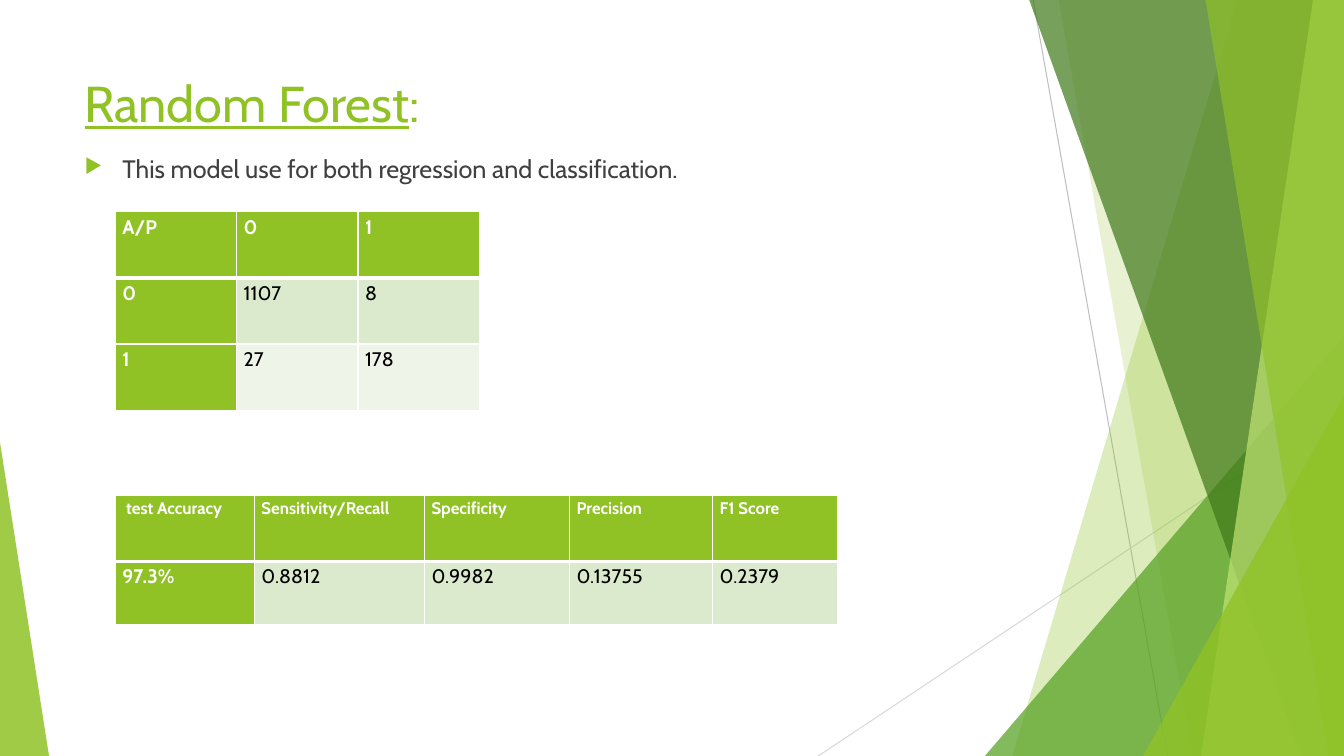
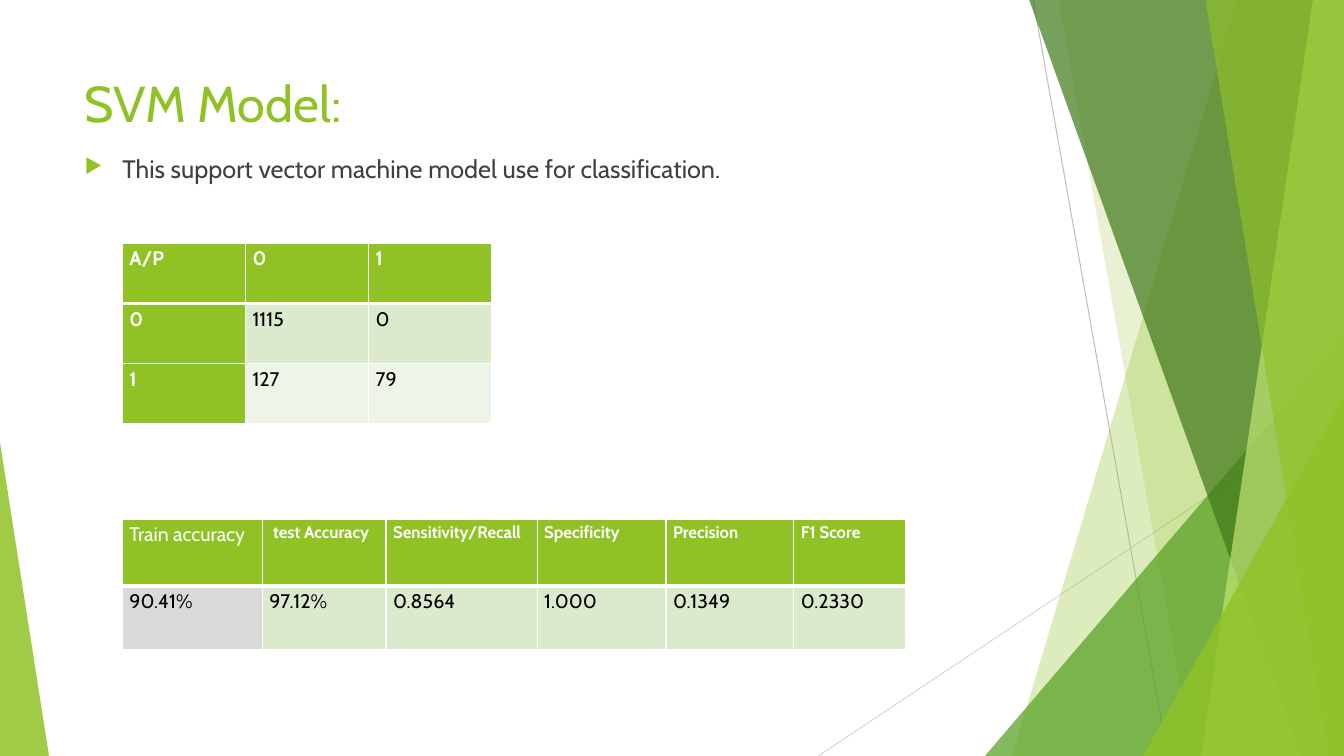
from dataclasses import dataclass

from lxml.etree import SubElement
from pptx import Presentation
from pptx.dml.color import RGBColor
from pptx.enum.shapes import MSO_CONNECTOR as Line, MSO_SHAPE as Shape
from pptx.oxml.ns import qn
from pptx.util import Pt


@dataclass(frozen=True)
class Theme:
    font: str = "Cabin"
    green: str = "90C226"
    leaf: str = "54A021"
    moss: str = "3F7819"
    lime: str = "C0E474"
    ink: str = "404040"
    black: str = "000000"
    white: str = "FFFFFF"
    grey: str = "D9D9D9"
    rule: str = "BFBFBF"
    bands: tuple = ("DBE9CD", "EEF4E8")
    title: int = 36
    body: int = 18
    cell: int = 14
    label: int = 12


T = Theme()
WIDE, HIGH = 960, 540

# Right-hand decor, back to front.
# Panel: top x, bottom x, colour, opacity. Wedge: left, top, colour, opacity.
DECOR = [
    ("panel", 884, 723, T.green, 30),
    ("panel", 756, 852, T.green, 20),
    ("wedge", 703.5, 240, T.leaf, 72),
    ("panel", 735, 929.5, T.moss, 70),
    ("panel", 938, 858, T.lime, 70),
    ("panel", 861, 949, T.green, 65),
    ("wedge", 816.5, 283, T.green, 80),
]


def rgb(code):
    return RGBColor.from_string(code)


def paint(shape, color, alpha):
    """Give a shape a flat, partly clear fill without outline or shadow."""
    shape.shadow.inherit = False
    shape.line.fill.background()
    shape.fill.solid()
    shape.fill.fore_color.rgb = rgb(color)
    tint = next(shape.element.spPr.iter(qn("a:srgbClr")))
    SubElement(tint, qn("a:alpha"), val=str(alpha * 1000))


def line(slide, start, end, color):
    rule = slide.shapes.add_connector(
        Line.STRAIGHT, *(Pt(v) for v in (*start, *end)))
    rule.line.width = Pt(0.75)
    rule.line.color.rgb = rgb(color)
    SubElement(rule.element.spPr, qn("a:effectLst"))


def panel(slide, top, foot, color, alpha):
    """Draw a slanted panel that runs to the right edge of the slide."""
    form = slide.shapes.build_freeform(Pt(top), Pt(-0.6))
    form.add_line_segments(
        [(Pt(x), Pt(y)) for x, y in ((WIDE, -0.6), (WIDE, HIGH), (foot, HIGH))])
    paint(form.convert_to_shape(), color, alpha)


def wedge(slide, box, peak, color, alpha):
    """Draw a triangle with its peak at a share of the box width."""
    shape = slide.shapes.add_shape(
        Shape.ISOSCELES_TRIANGLE, *(Pt(v) for v in box))
    shape.adjustments[0] = peak
    paint(shape, color, alpha)


def decor(slide):
    line(slide, (738, 0), (834, HIGH), T.rule)
    line(slide, (WIDE, 290), (584.5, HIGH), T.grey)
    for kind, a, b, color, alpha in DECOR:
        if kind == "panel":
            panel(slide, a, b, color, alpha)
        else:
            wedge(slide, (a, b, WIDE - a, HIGH - b), 1, color, alpha)
    wedge(slide, (0, 316, 35, HIGH - 316), 0, T.green, 85)


def write(para, text, size, color, bold=False, under=False):
    run = para.add_run()
    run.text = text
    font = run.font
    font.name, font.size, font.bold = T.font, Pt(size), bold
    font.underline = under
    font.color.rgb = rgb(color)


def block(slide, box):
    """Add a wrapping text box and return its first paragraph."""
    frame = slide.shapes.add_textbox(*(Pt(v) for v in box)).text_frame
    frame.word_wrap = True
    return frame.paragraphs[0]


def title(slide, box, runs):
    para = block(slide, box)
    for text, under in runs:
        write(para, text, T.title, T.green, under=under)


def point(slide, box, text):
    """Add one bulleted line."""
    para = block(slide, box)
    write(para, text, T.body, T.ink)
    props = para._p.get_or_add_pPr()
    props.set("marL", str(Pt(27)))
    props.set("indent", str(Pt(-27)))
    tint = SubElement(props, qn("a:buClr"))
    SubElement(tint, qn("a:srgbClr"), val=T.green)
    SubElement(props, qn("a:buSzPct"), val="80000")
    SubElement(props, qn("a:buChar"), char="▶")


def edge(cell, row):
    """Rule a cell in white, with a thick line under the header row."""
    props = cell._tc.get_or_add_tcPr()
    widths = {"L": 1, "R": 1, "T": 3 if row == 1 else 1,
              "B": 3 if row == 0 else 1}
    for side, width in widths.items():
        rule = SubElement(props, qn(f"a:ln{side}"), w=str(Pt(width)))
        fill = SubElement(rule, qn("a:solidFill"))
        SubElement(fill, qn("a:srgbClr"), val=T.white)


def style(row, col, head, keyed):
    """Return fill, text colour, size and weight for a table cell."""
    plain = col == 0 and not keyed
    if row == 0:
        return T.green, T.white, T.cell if plain else head, not plain
    if plain:
        return T.grey, T.black, T.cell, False
    if col == 0:
        return T.green, T.white, T.cell, True
    return T.bands[(row - 1) % 2], T.black, T.cell, False


def grid(slide, spot, cols, rows, data, head=T.cell, keyed=True):
    """Add a table; keyed gives its first column the header look."""
    box = (*spot, sum(cols), sum(rows))
    table = slide.shapes.add_table(
        len(rows), len(cols), *(Pt(v) for v in box)).table
    for col, width in zip(table.columns, cols):
        col.width = Pt(width)
    for row, height in zip(table.rows, rows):
        row.height = Pt(height)
    for r, texts in enumerate(data):
        for c, text in enumerate(texts):
            cell = table.cell(r, c)
            fill, color, size, bold = style(r, c, head, keyed)
            edge(cell, r)
            cell.fill.solid()
            cell.fill.fore_color.rgb = rgb(fill)
            cell.margin_left = cell.margin_right = Pt(5)
            cell.margin_top = cell.margin_bottom = 0
            para = cell.text_frame.paragraphs[0]
            para.line_spacing, para.space_after = 1.15, Pt(10)
            write(para, text, size, color, bold)


def model(deck, heading, text, matrix, scores):
    """Add a slide on one model: heading, point, matrix and scores."""
    slide = deck.slides.add_slide(deck.slide_layouts[6])
    decor(slide)
    title(slide, (53.3, 48, 677, 58), heading)
    point(slide, (53.3, 106, 677, 370), text)
    grid(slide, **matrix)
    grid(slide, **scores, rows=[47.5, 45.4], head=T.label)


def main():
    deck = Presentation()
    deck.slide_width, deck.slide_height = Pt(WIDE), Pt(HIGH)
    names = [" test Accuracy", "Sensitivity/Recall", "Specificity",
             "Precision", "F1 Score"]
    model(
        deck, [("Random Forest", True), (":", False)],
        "This model use for both regression and classification.",
        dict(spot=(82.4, 151.2), cols=[86.7] * 3, rows=[47.3] * 3,
             data=[["A/P", "0", "1"], ["0", "1107", "8"], ["1", "27", "178"]]),
        dict(spot=(82.4, 353.5), cols=[99.4, 121.5, 103.6, 102.2, 89.2],
             data=[names, ["97.3%", "0.8812", "0.9982", "0.13755", "0.2379"]]))
    model(
        deck, [("SVM Model:", False)],
        "This support vector machine model use for classification.",
        dict(spot=(87.4, 173.8), cols=[88] * 3, rows=[43] * 3,
             data=[["A/P", "0", "1"], ["0", "1115", "0"], ["1", "127", "79"]]),
        dict(spot=(87.4, 371), cols=[100, 88.4, 108, 92, 91.3, 79.8],
             data=[["Train accuracy", *names],
                   ["90.41%", "97.12%", "0.8564", "1.000", "0.1349", "0.2330"]],
             keyed=False))
    deck.save("out.pptx")


if __name__ == "__main__":
    main()
